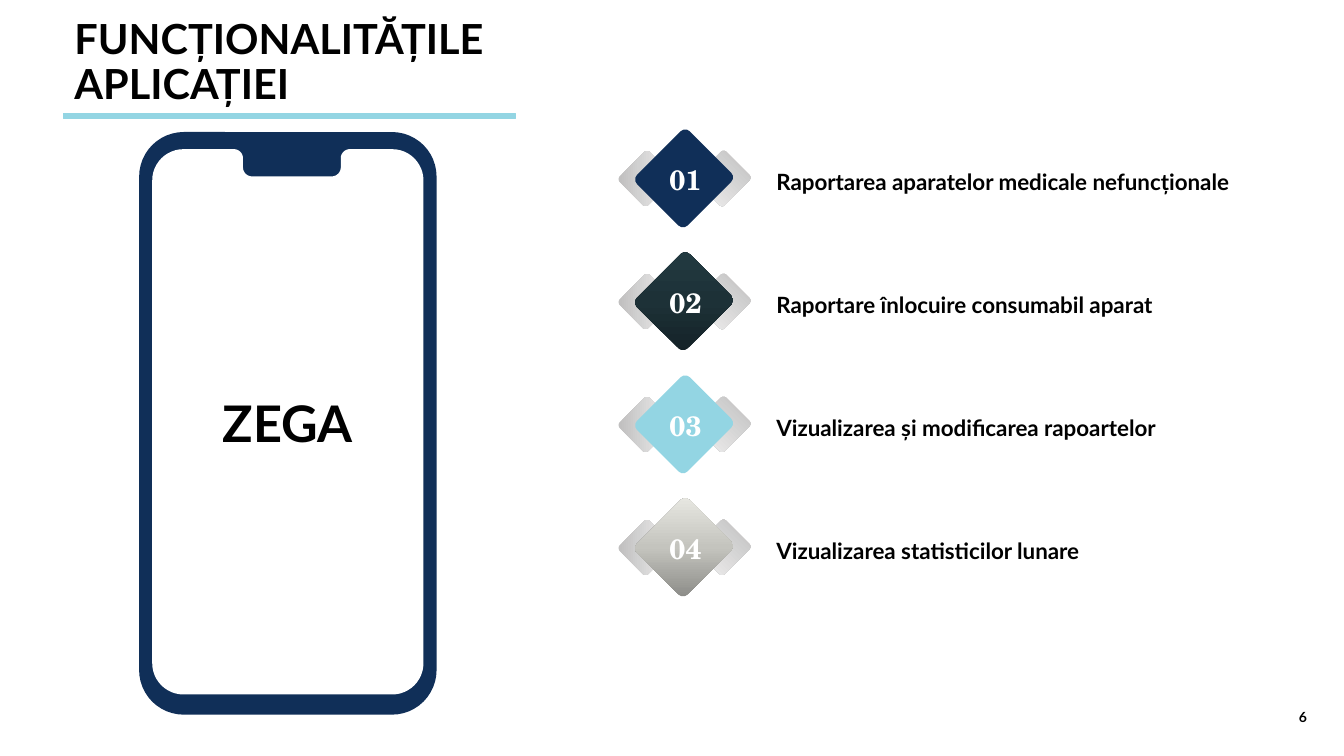
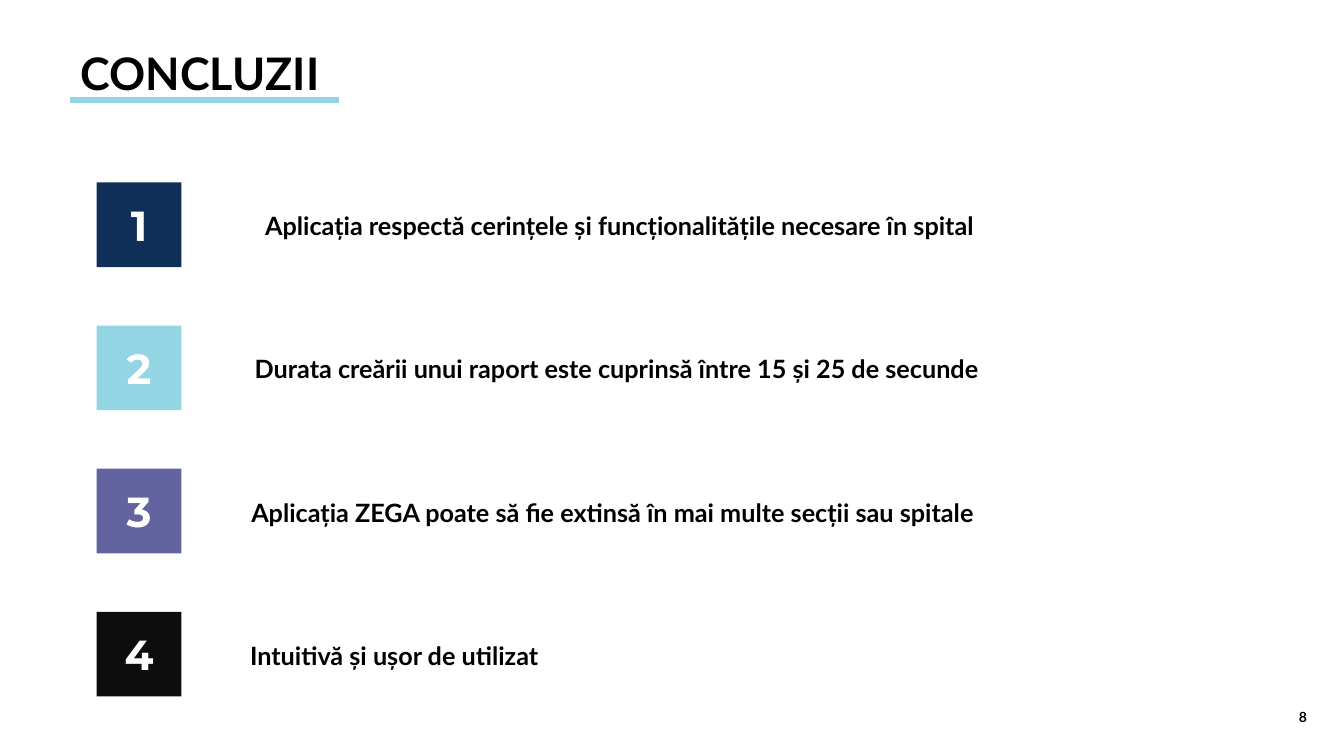
"""Build the app features slide and the conclusions slide."""
from copy import deepcopy
from math import cos, radians, sin

from pptx import Presentation
from pptx.dml.color import RGBColor
from pptx.enum.shapes import MSO_SHAPE
from pptx.enum.text import MSO_ANCHOR, PP_ALIGN
from pptx.oxml.ns import qn
from pptx.util import Inches, Pt

COLORS = {
    "navy": "102F58", "sky": "93D5E3", "violet": "63639F", "ink": "0D0D0D",
    "black": "000000", "white": "FFFFFF",
    "silver": "BFBEBE", "mist": "F2F2F2",
    "night": "142227", "pine": "1D3137", "teal": "223A41",
    "stone": "8A8A86", "sand": "C4C4BE", "pearl": "E8E8E2",
}

STYLES = {
    "long_title": {"name": "Lato", "size": Pt(29.6), "color": "black"},
    "title": {"name": "Lato", "size": Pt(32), "color": "black"},
    "app": {"name": "Lato", "size": Pt(36), "color": "black"},
    "feature": {"name": "Lato", "size": Pt(16), "color": "black"},
    "feature_number": {"name": "TeX Gyre Schola", "size": Pt(20), "color": "white"},
    "conclusion": {"name": "Lato", "size": Pt(18), "color": "black"},
    "conclusion_number": {"name": "Montserrat", "size": Pt(30), "color": "white"},
    "page": {"name": "Lato", "size": Pt(10), "color": "black"},
}

FEATURES = [
    ("Raportarea aparatelor medicale nefuncționale", ["navy"]),
    ("Raportare înlocuire consumabil aparat", ["night", "pine", "teal"]),
    ("Vizualizarea și modificarea rapoartelor", ["sky"]),
    ("Vizualizarea statisticilor lunare", ["stone", "sand", "pearl"]),
]
FEATURE_TOP, FEATURE_STEP = 1.4, 1.22
WEDGES = [(6.2, 45), (6.96, 180)]

CONCLUSIONS = [
    ("Aplicația respectă cerințele și funcționalitățile necesare în spital", "navy", 2.36, 7.57),
    ("Durata creării unui raport este cuprinsă între 15 și 25 de secunde", "sky", 2.2, 7.83),
    ("Aplicația ZEGA poate să fie extinsă în mai multe secții sau spitale", "violet", 2.33, 7.49),
    ("Intuitivă și ușor de utilizat", "ink", 2.33, 3.16),
]
CONCLUSION_TOP, CONCLUSION_STEP = 1.81, 1.42

SCREEN_CORNERS = [
    (1.82, 1.79, 0.31, 180, 270), (2.32, 1.57, 0.09, 270, 360),
    (2.5, 1.66, 0.09, 180, 90), (3.29, 1.66, 0.09, 90, 0),
    (3.47, 1.57, 0.09, 180, 270), (3.89, 1.79, 0.31, 270, 360),
    (3.89, 6.58, 0.31, 0, 90), (1.82, 6.58, 0.31, 90, 180),
]
ARC_STEPS = 12


def rgb(color):
    return RGBColor.from_string(COLORS[color])


def write(shape, text, style, align=PP_ALIGN.LEFT, anchor=MSO_ANCHOR.TOP,
          inset=None, spacing=None):
    frame = shape.text_frame
    frame.word_wrap = True
    frame.vertical_anchor = anchor
    if inset is not None:
        for side in ("left", "top", "right", "bottom"):
            setattr(frame, f"margin_{side}", Inches(inset))
    paragraph = frame.paragraphs[0]
    paragraph.alignment = align
    if spacing:
        paragraph.line_spacing = spacing
    run = paragraph.add_run()
    run.text = text
    run.font.bold = True
    for key, value in STYLES[style].items():
        if key == "color":
            run.font.color.rgb = rgb(value)
        else:
            setattr(run.font, key, value)


def add_text(slide, box, text, style, **layout):
    write(slide.shapes.add_textbox(*map(Inches, box)), text, style, **layout)


def paint(shape, colors, angle=0):
    shape.shadow.inherit = False
    shape.line.fill.background()
    fill = shape.fill
    if len(colors) == 1:
        fill.solid()
        fill.fore_color.rgb = rgb(colors[0])
        return
    fill.gradient()
    fill.gradient_angle = 360 - angle
    stop_list = shape.element.find(".//" + qn("a:gsLst"))
    for _ in colors[2:]:
        stop_list.insert(1, deepcopy(stop_list[0]))
    for index, (stop, color) in enumerate(zip(fill.gradient_stops, colors)):
        stop.position = index / (len(colors) - 1)
        stop.color.rgb = rgb(color)


def add_block(slide, preset, box, colors, angle=0, rotation=0, rounding=None):
    block = slide.shapes.add_shape(preset, *map(Inches, box))
    paint(block, colors, angle)
    block.rotation = rotation
    if rounding is not None:
        block.adjustments[0] = rounding
    return block


def start_slide(deck, title, style, title_box, band_box, page, spacing=None):
    slide = deck.slides.add_slide(deck.slide_layouts[6])
    band = add_block(slide, MSO_SHAPE.RECTANGLE, band_box, ["sky"])
    band.line.color.rgb = rgb("sky")
    band.line.width = Pt(0.75)
    add_text(slide, title_box, title, style, spacing=spacing)
    add_text(slide, (12.28, 6.91, 0.78, 0.4), page, "page",
             align=PP_ALIGN.RIGHT, anchor=MSO_ANCHOR.MIDDLE)
    return slide


def add_phone(slide):
    add_block(slide, MSO_SHAPE.ROUNDED_RECTANGLE, (1.38, 1.31, 2.95, 5.78), ["navy"], rounding=0.15)
    outline = []
    for x, y, radius, start, end in SCREEN_CORNERS:
        for step in range(ARC_STEPS + 1):
            turn = radians(start + (end - start) * step / ARC_STEPS)
            outline.append((Inches(x + radius * cos(turn)), Inches(y + radius * sin(turn))))
    builder = slide.shapes.build_freeform(*outline[0])
    builder.add_line_segments(outline[1:], close=True)
    screen = builder.convert_to_shape()
    paint(screen, ["white"])
    write(screen, "ZEGA", "app", align=PP_ALIGN.CENTER, anchor=MSO_ANCHOR.MIDDLE)


def add_features(slide):
    for index, (feature, colors) in enumerate(FEATURES):
        top = FEATURE_TOP + index * FEATURE_STEP
        for left, angle in WEDGES:
            add_block(slide, MSO_SHAPE.ROUNDED_RECTANGLE, (left, top + 0.17, 0.42, 0.4),
                      ["silver", "mist"], angle, 315, 0.09)
        add_block(slide, MSO_SHAPE.ROUNDED_RECTANGLE, (6.43, top, 0.71, 0.74),
                  colors, 225, 45, 0.09)
        add_text(slide, (6.33, top + 0.16, 0.94, 0.44), f"{index + 1:02}",
                 "feature_number", align=PP_ALIGN.CENTER)
        add_text(slide, (7.7, top + 0.27, 4.91, 0.27), feature, "feature", inset=0)


def add_conclusions(slide):
    for index, (conclusion, color, left, width) in enumerate(CONCLUSIONS):
        top = CONCLUSION_TOP + index * CONCLUSION_STEP
        tile = add_block(slide, MSO_SHAPE.RECTANGLE, (0.96, top, 0.84, 0.84), [color])
        write(tile, str(index + 1), "conclusion_number", align=PP_ALIGN.CENTER,
              anchor=MSO_ANCHOR.MIDDLE, inset=0.1)
        add_text(slide, (left, top + 0.12, width, 0.59), conclusion, "conclusion",
                 align=PP_ALIGN.CENTER, inset=0.1, spacing=1.2)


def main():
    deck = Presentation()
    deck.slide_width, deck.slide_height = Inches(13.33), Inches(7.5)
    features = start_slide(deck, "FUNCȚIONALITĂȚILE APLICAȚIEI", "long_title",
                           (0.64, 0.14, 4.69, 1), (0.63, 1.13, 4.48, 0.05), "6", 0.9)
    add_phone(features)
    add_features(features)
    conclusions = start_slide(deck, "CONCLUZII", "title",
                              (0.7, 0.4, 4.69, 1), (0.7, 0.97, 2.66, 0.05), "8")
    add_conclusions(conclusions)
    deck.save("out.pptx")


if __name__ == "__main__":
    main()
